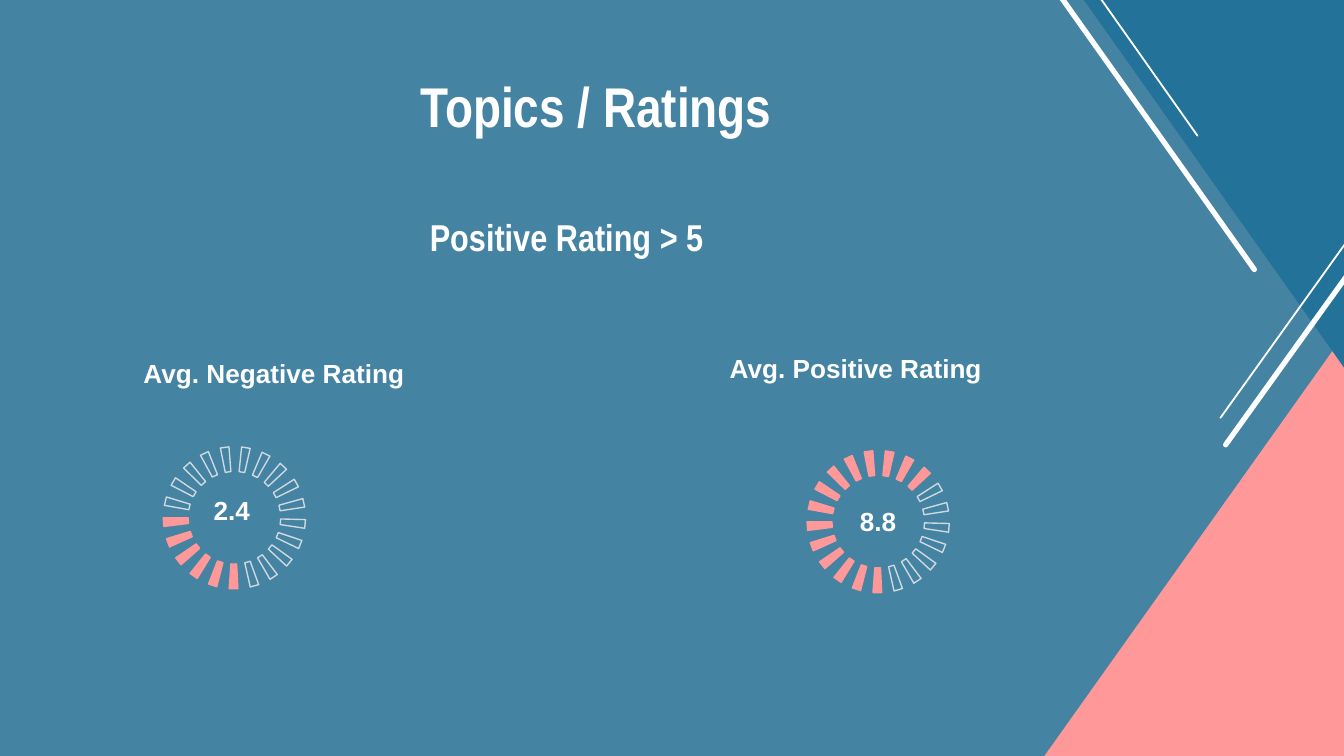
from dataclasses import dataclass
from math import cos, radians, sin

from lxml import etree
from pptx import Presentation
from pptx.dml.color import RGBColor
from pptx.enum import shapes as kinds
from pptx.oxml.ns import qn
from pptx.util import Pt

SEA = RGBColor(0x45, 0x83, 0xA3)
DEEP = RGBColor(0x22, 0x72, 0x99)
PINK = RGBColor(0xFF, 0x99, 0x99)
PALE = RGBColor(0xCF, 0xD9, 0xE0)
WHITE = RGBColor(0xFF, 0xFF, 0xFF)

SPOKES = 21
STEP = 360 / SPOKES
START = 180.7  # degrees clockwise from the top
HALF = 3.5  # half the angle one spoke covers
OUTER, INNER = 38.1, 24.8


@dataclass
class Label:
    words: str
    left: float
    top: float
    width: float
    height: float
    size: float = 14
    font: str = "Arial"
    inset: float = 3.6
    after: float = 0


@dataclass
class Stripe:
    x1: float
    y1: float
    x2: float
    y2: float
    weight: float


@dataclass
class Dial:
    x: float
    y: float
    filled: int
    label: Label


CORNERS = [
    (PINK, [(744.2, 145.4), (523.4, 455.8), (744.2, 455.8)]),
    (DEEP, [(563.8, -23.8), (762.5, 257), (762.5, -23.8)]),
]
STRIPES = [
    Stripe(548.6, -29.5, 672, 144.4, 2.83),
    Stripe(563.8, -37.4, 641.5, 72.7, 0.97),
    Stripe(726.5, 122.4, 653.8, 223.9, 0.97),
    Stripe(729.4, 136.8, 656.6, 238.3, 2.83),
]
LABELS = [
    Label("Topics / Ratings", 218.2, 31, 385.2, 45.4, 30, "Arial Narrow", 7.2),
    Label("Positive Rating > 5", 223.2, 107.3, 232.6, 26.6, 20, "Arial Narrow", 7.2, 16),
    Label("Avg. Positive Rating", 383.8, 185, 381.6, 57.6, after=16),
    Label("Avg. Negative Rating", 69.8, 187.9, 259.2, 57.6, after=16),
]
DIALS = [
    Dial(125.6, 277.4, 6, Label("2.4", 107.3, 261.4, 44.6, 24.5)),
    Dial(470.5, 279.5, 14, Label("8.8", 453.6, 267.1, 97.2, 24.5, after=16)),
]


def outline(shapes, points: list[tuple[float, float]]):
    """Add a closed polygon through points given in points of length."""
    first, *rest = [(Pt(x), Pt(y)) for x, y in points]
    pen = shapes.build_freeform(*first)
    pen.add_line_segments(rest)
    shape = pen.convert_to_shape()
    shape.shadow.inherit = False
    return shape


def draw_corner(shapes, color: RGBColor, points: list[tuple[float, float]]) -> None:
    shape = outline(shapes, points)
    shape.fill.solid()
    shape.fill.fore_color.rgb = color
    shape.line.fill.background()


def draw_stripe(shapes, stripe: Stripe) -> None:
    line = shapes.add_connector(
        kinds.MSO_CONNECTOR.STRAIGHT,
        Pt(stripe.x1), Pt(stripe.y1), Pt(stripe.x2), Pt(stripe.y2))
    line.line.color.rgb = WHITE
    line.line.width = Pt(stripe.weight)
    line.line._get_or_add_ln().set("cap", "rnd")
    etree.SubElement(line._element.spPr, qn("a:effectLst"))


def draw_label(shapes, label: Label) -> None:
    box = shapes.add_textbox(
        Pt(label.left), Pt(label.top), Pt(label.width), Pt(label.height))
    frame = box.text_frame
    frame.word_wrap = True
    frame.margin_left = frame.margin_right = Pt(7.2)
    frame.margin_top = frame.margin_bottom = Pt(label.inset)
    para = frame.paragraphs[0]
    para.text = label.words
    para.space_after = Pt(label.after)
    para.font.name = label.font
    para.font.size = Pt(label.size)
    para.font.bold = True
    para.font.color.rgb = WHITE


def draw_dial(shapes, dial: Dial) -> None:
    """Draw a ring of spokes, filled clockwise from the bottom."""
    ring = shapes.add_group_shape().shapes
    for i in range(SPOKES):
        mid = START + i * STEP
        ends = [(OUTER, -HALF), (OUTER, HALF), (INNER, HALF), (INNER, -HALF)]
        spoke = outline(ring, [
            (dial.x + r * sin(radians(mid + turn)),
             dial.y - r * cos(radians(mid + turn)))
            for r, turn in ends])
        spoke.line.width = Pt(0.75)
        if i < dial.filled:
            spoke.fill.solid()
            spoke.fill.fore_color.rgb = PINK
            spoke.line.color.rgb = PINK
        else:
            spoke.fill.background()
            spoke.line.color.rgb = PALE
    draw_label(shapes, dial.label)


def main() -> None:
    deck = Presentation()
    deck.slide_width, deck.slide_height = Pt(720), Pt(405)
    slide = deck.slides.add_slide(deck.slide_layouts[6])
    slide.background.fill.solid()
    slide.background.fill.fore_color.rgb = SEA
    shapes = slide.shapes
    for color, points in CORNERS:
        draw_corner(shapes, color, points)
    for stripe in STRIPES:
        draw_stripe(shapes, stripe)
    for label in LABELS:
        draw_label(shapes, label)
    for dial in DIALS:
        draw_dial(shapes, dial)
    deck.save("out.pptx")


if __name__ == "__main__":
    main()
